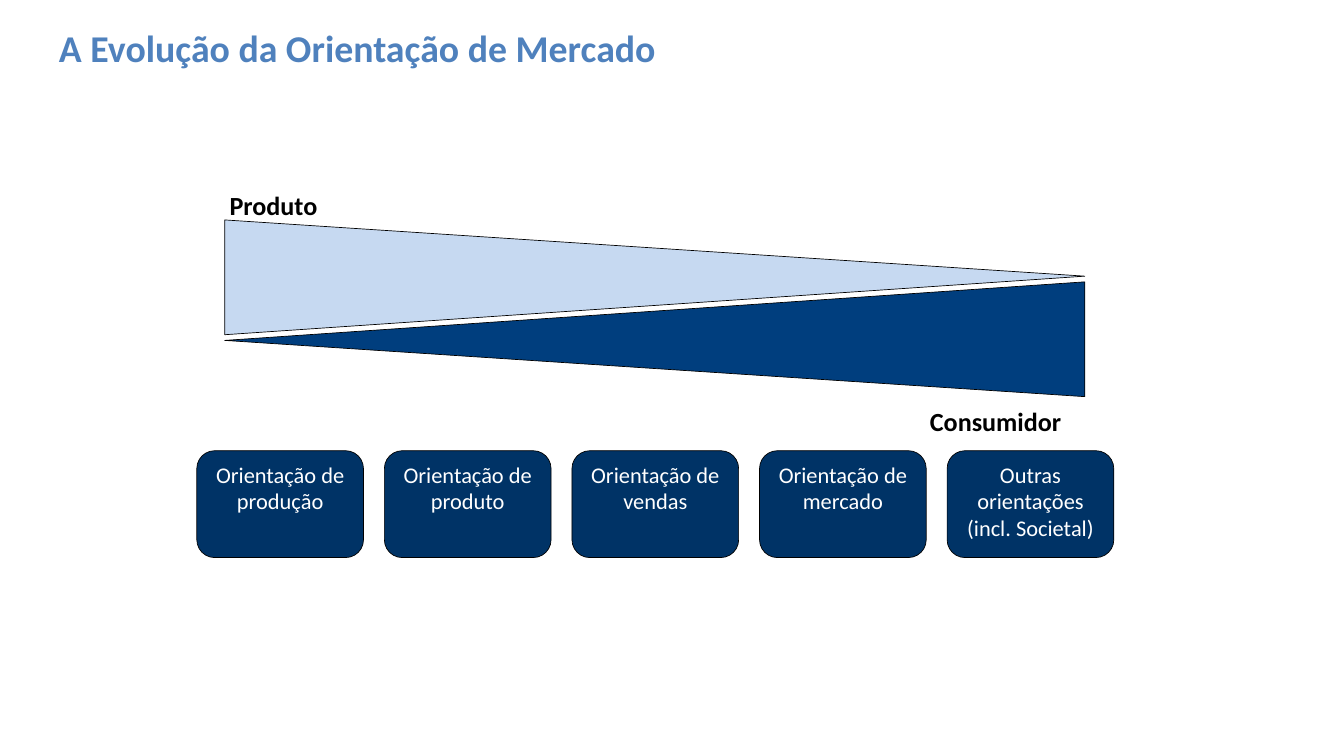
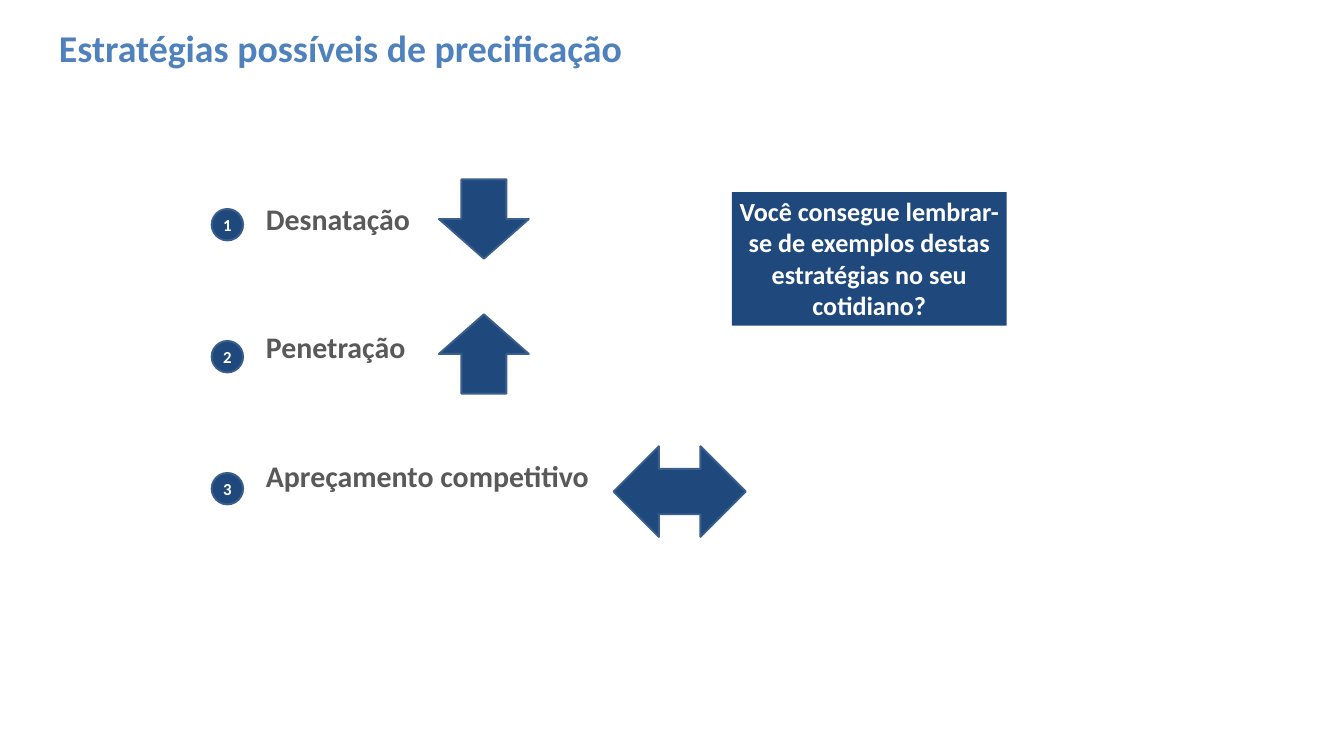
import pptx
import pptx.util
from dataclasses import dataclass
from pptx.dml.color import RGBColor
from pptx.enum.shapes import MSO_SHAPE
from pptx.enum.text import MSO_ANCHOR, MSO_AUTO_SIZE, PP_ALIGN
from pptx.util import Cm


@dataclass(frozen=True)
class Theme:
    font: str = "Calibri"
    # colours
    title: str = "4F81BD"
    black: str = "000000"
    white: str = "FFFFFF"
    grey: str = "595959"
    step: str = "003366"
    product: str = "C6D9F1"
    consumer: str = "003E7E"
    blue: str = "1F497D"
    blue_edge: str = "3A5F8C"
    # type sizes
    title_size: float = 40.5
    strategy_size: float = 32
    label_size: float = 28
    step_size: float = 24
    number_size: float = 18


THEME = Theme()
PAGE = (50.8, 28.58)
TITLE_BOX = (1.98, 0.89, 34.67, 1.8)

# Content; boxes are left, top, width, height in cm
EVOLUTION = {
    "title": "A Evolução da Orientação de Mercado",
    "steps": [
        "Orientação de produção",
        "Orientação de produto",
        "Orientação de vendas",
        "Orientação de mercado",
        "Outras orientações (incl. Societal)",
    ],
    "wedges": [  # top, rotation, fill
        (-3.43, 270, THEME.consumer),
        (-5.77, 90, THEME.product),
    ],
    "labels": [
        ("Produto", (8.43, 7.04, 3.86, 1.45)),
        ("Consumidor", (34.9, 15.19, 5.51, 1.45)),
    ],
}
PRICING = {
    "title": "Estratégias possíveis de precificação",
    "strategies": ["Desnatação", "Penetração", "Apreçamento competitivo"],
    "question": "Você consegue lembrar-se de exemplos destas estratégias no seu cotidiano?",
    "arrows": [  # preset, box, rotation
        (MSO_SHAPE.RIGHT_ARROW, (16.79, 6.58, 3, 3.4), 90),
        (MSO_SHAPE.RIGHT_ARROW, (16.79, 11.68, 3, 3.4), 270),
        (MSO_SHAPE.LEFT_RIGHT_ARROW, (23.19, 16.87, 5, 3.43), 0),
    ],
}


def write(holder, text, size, color, bold=True, align=PP_ALIGN.LEFT, anchor=MSO_ANCHOR.TOP,
          wrap=True, margins=(0.25, 0.13), line_pt=None, gap_pt=0):
    """Write one string, or a list of paragraphs gap_pt apart."""
    frame = holder.text_frame
    frame.word_wrap = wrap
    frame.auto_size = MSO_AUTO_SIZE.NONE
    frame.vertical_anchor = anchor
    frame.margin_left = frame.margin_right = Cm(margins[0])
    frame.margin_top = frame.margin_bottom = Cm(margins[1])
    lines = [text] if isinstance(text, str) else text
    for index, line in enumerate(lines):
        paragraph = frame.add_paragraph() if index else frame.paragraphs[0]
        paragraph.alignment = align
        if line_pt:
            paragraph.line_spacing = pptx.util.Pt(line_pt)
        if index:
            paragraph.space_before = pptx.util.Pt(gap_pt)
        run = paragraph.add_run()
        run.text = line
        run.font.name = THEME.font
        run.font.size = pptx.util.Pt(size)
        run.font.bold = bold
        run.font.color.rgb = RGBColor.from_string(color)


def add_text(slide, box, text, **style):
    write(slide.shapes.add_textbox(*map(Cm, box)), text, **style)


def add_block(slide, preset, box, fill, edge=None, edge_pt=0.75, rotation=0):
    block = slide.shapes.add_shape(preset, *map(Cm, box))
    block.shadow.inherit = False
    block.rotation = rotation
    block.fill.solid()
    block.fill.fore_color.rgb = RGBColor.from_string(fill)
    if edge:
        block.line.color.rgb = RGBColor.from_string(edge)
        block.line.width = pptx.util.Pt(edge_pt)
    else:
        block.line.fill.background()
    return block


def add_titled_slide(deck, title):
    slide = deck.slides.add_slide(deck.slide_layouts[6])
    add_text(slide, TITLE_BOX, title, size=THEME.title_size, color=THEME.title,
             anchor=MSO_ANCHOR.MIDDLE)
    return slide


def build_evolution(deck):
    slide = add_titled_slide(deck, EVOLUTION["title"])

    # Row of orientations
    for index, name in enumerate(EVOLUTION["steps"]):
        step = add_block(slide, MSO_SHAPE.ROUNDED_RECTANGLE,
                         (7.44 + index * 7.09, 17.04, 6.3, 4.04), THEME.step, THEME.black)
        write(step, name, size=THEME.step_size, color=THEME.white, bold=False,
              align=PP_ALIGN.CENTER, margins=(0.38, 0.18))

    # Opposing wedges, triangles turned on their side
    for top, rotation, fill in EVOLUTION["wedges"]:
        wedge = add_block(slide, MSO_SHAPE.ISOSCELES_TRIANGLE, (22.58, top, 4.34, 32.51),
                          fill, THEME.black, rotation=rotation)
        wedge.adjustments[0] = 0.49

    for label, box in EVOLUTION["labels"]:
        add_text(slide, box, label, size=THEME.label_size, color=THEME.black, wrap=False)


def build_pricing(deck):
    slide = add_titled_slide(deck, PRICING["title"])

    # Strategies, with a numbered disc beside each
    add_text(slide, (9.8, 8.28, 30.2, 11.23), PRICING["strategies"],
             size=THEME.strategy_size, color=THEME.grey, align=PP_ALIGN.JUSTIFY,
             line_pt=14.5, gap_pt=123.5)
    for index in range(len(PRICING["strategies"])):
        disc = add_block(slide, MSO_SHAPE.OVAL, (8, 7.9 + index * 4.99, 1.19, 1.19),
                         THEME.blue, THEME.blue_edge, edge_pt=2)
        write(disc, str(index + 1), size=THEME.number_size, color=THEME.white,
              align=PP_ALIGN.CENTER, anchor=MSO_ANCHOR.MIDDLE, margins=(0, 0))

    # Price directions
    for preset, box, rotation in PRICING["arrows"]:
        add_block(slide, preset, box, THEME.blue, THEME.blue_edge, edge_pt=2, rotation=rotation)

    # Question to the audience
    question = add_block(slide, MSO_SHAPE.RECTANGLE, (27.66, 7.26, 10.39, 5.05), THEME.blue)
    write(question, PRICING["question"], size=THEME.label_size, color=THEME.white,
          align=PP_ALIGN.CENTER)


def main():
    deck = pptx.Presentation()
    deck.slide_width, deck.slide_height = map(Cm, PAGE)
    build_evolution(deck)
    build_pricing(deck)
    deck.save("out.pptx")


if __name__ == "__main__":
    main()
